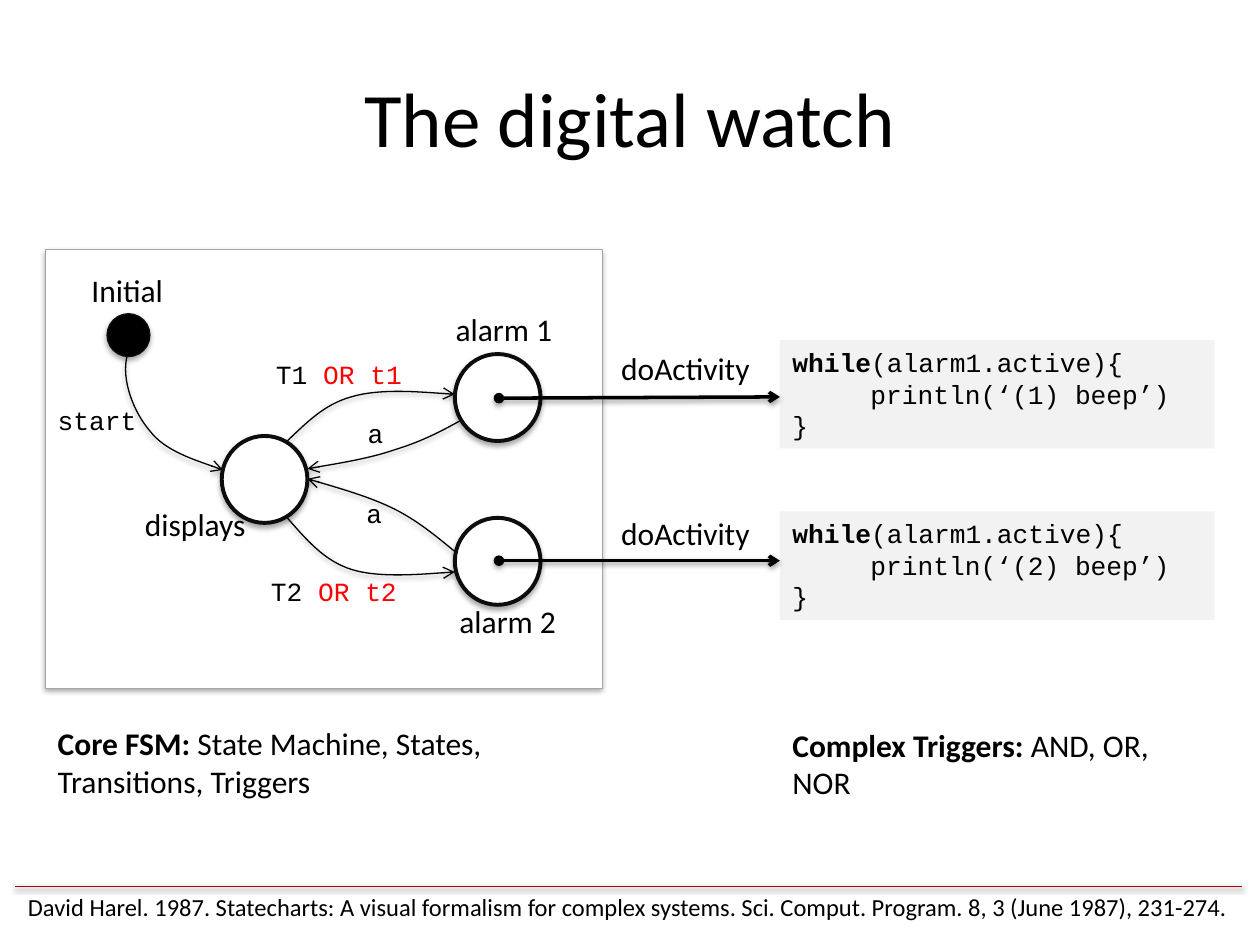
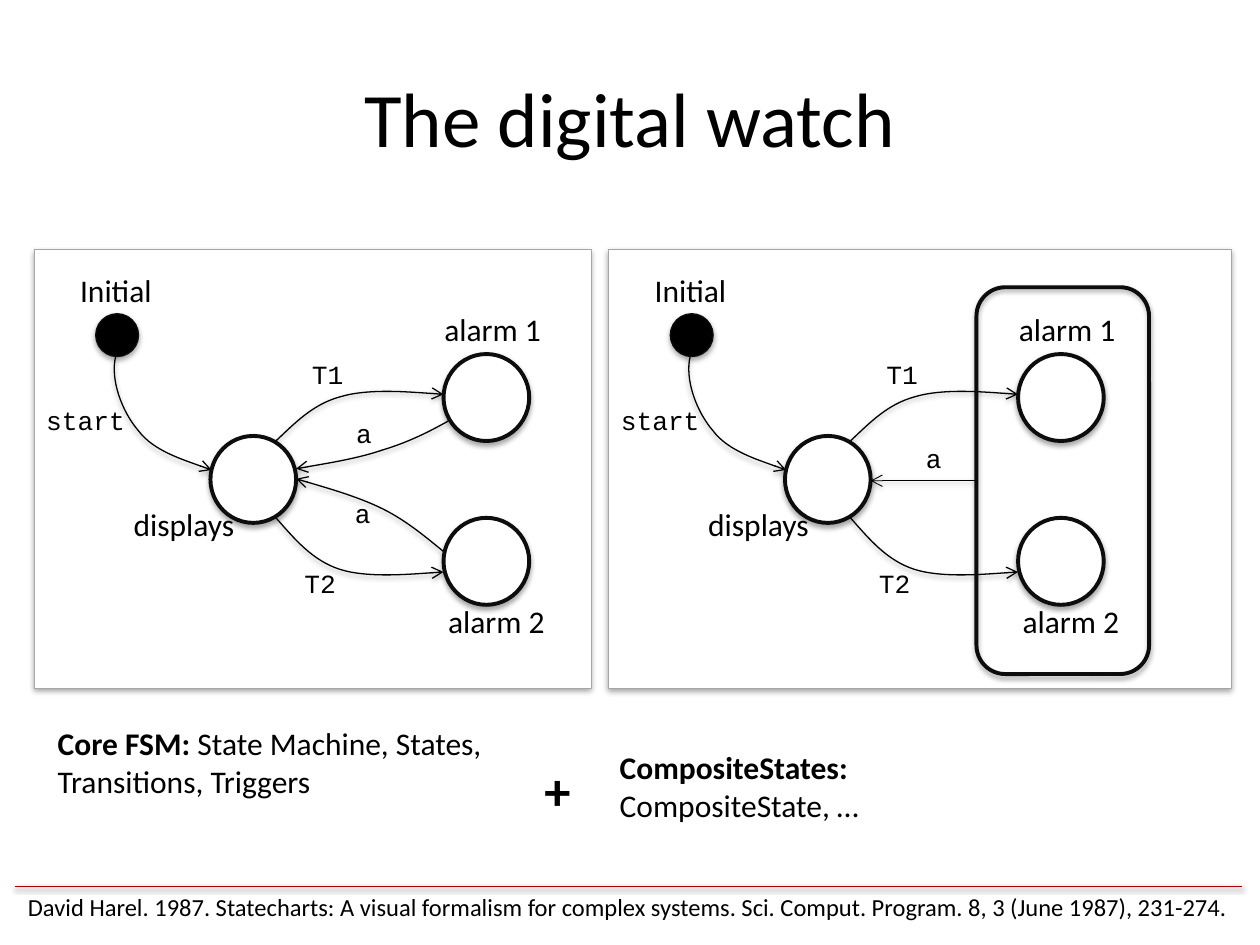
from lxml import etree
from pptx import Presentation
from pptx.dml.color import RGBColor
from pptx.enum.shapes import MSO_CONNECTOR, MSO_SHAPE
from pptx.enum.text import MSO_ANCHOR, PP_ALIGN
from pptx.oxml.ns import qn
from pptx.util import Inches, Pt

BLACK = RGBColor(0x00, 0x00, 0x00)
WHITE = RGBColor(0xFF, 0xFF, 0xFF)
INK = RGBColor(0x0D, 0x0D, 0x0D)
PANEL_EDGE = RGBColor(0xA6, 0xA6, 0xA6)
CODE_FILL = RGBColor(0xF2, 0xF2, 0xF2)
RED = RGBColor(0xFF, 0x00, 0x00)
FOOTER_RED = RGBColor(0xAD, 0x01, 0x01)

RECTANGLE = MSO_SHAPE.RECTANGLE
ROUNDED = MSO_SHAPE.ROUNDED_RECTANGLE
OVAL = MSO_SHAPE.OVAL
STRAIGHT = MSO_CONNECTOR.STRAIGHT
LEFT, CENTER = PP_ALIGN.LEFT, PP_ALIGN.CENTER
TOP, MIDDLE = MSO_ANCHOR.TOP, MSO_ANCHOR.MIDDLE

BODY_FONT = "Calibri"
CODE_FONT = "Courier New"
TITLE = "The digital watch"
CITATION = (
    "David Harel. 1987. Statecharts: A visual formalism for complex systems. "
    "Sci. Comput. Program. 8, 3 (June 1987), 231-274."
)
PANEL_TOP = 1.98
PANEL_HEIGHT = 3.48
STATE_WIDTH, STATE_HEIGHT = 0.68, 0.69

START_CURVE = [(0.65, 0.84), (0.60, 1.03), (0.70, 1.29), (0.83, 1.44),
               (0.95, 1.60), (1.41, 1.75), (1.41, 1.75)]
TO_ALARM_1 = [(1.92, 1.52), (2.07, 1.38), (2.21, 1.23), (2.43, 1.17),
              (2.66, 1.10), (3.25, 1.15), (3.25, 1.15)]
TO_ALARM_2 = [(1.92, 2.13), (2.07, 2.30), (2.21, 2.47), (2.43, 2.54),
              (2.65, 2.61), (3.25, 2.56), (3.25, 2.56)]
FROM_ALARM_1 = [(3.29, 1.36), (3.13, 1.45), (2.97, 1.53), (2.77, 1.59),
                (2.57, 1.66), (2.08, 1.74), (2.08, 1.74)]
FROM_ALARM_2 = [(3.29, 2.43), (3.13, 2.30), (2.97, 2.16), (2.77, 2.06),
                (2.57, 1.96), (2.08, 1.82), (2.08, 1.82)]


def add_shadow(shape, alpha, distance):
    properties = shape._element.spPr
    effects = properties.find(qn("a:effectLst"))
    if effects is None:
        effects = etree.SubElement(properties, qn("a:effectLst"))
    shadow = etree.SubElement(effects, qn("a:outerShdw"), blurRad=str(Pt(3.1)),
                              dist=str(Pt(distance)), dir="5400000", rotWithShape="0")
    color = etree.SubElement(shadow, qn("a:srgbClr"), val=str(BLACK))
    etree.SubElement(color, qn("a:alpha"), val=str(alpha * 1000))


def style_line(shape, color, width, head=None, tail=None):
    shape.line.color.rgb = color
    shape.line.width = Pt(width)
    outline = shape._element.spPr.find(qn("a:ln"))
    for tag, kind in (("a:headEnd", head), ("a:tailEnd", tail)):
        if kind:
            etree.SubElement(outline, qn(tag), type=kind)


def write_text(box, *paragraphs, size=18, font=BODY_FONT, align=LEFT, anchor=TOP):
    frame = box.text_frame
    frame.word_wrap = True
    frame.vertical_anchor = anchor
    for index, spans in enumerate(paragraphs):
        para = frame.paragraphs[0] if index == 0 else frame.add_paragraph()
        para.alignment = align
        for text, bold, color in spans:
            span = para.add_run()
            span.text = text
            span.font.size = Pt(size)
            span.font.name = font
            span.font.bold = bold
            span.font.color.rgb = color


def add_text(shapes, area, text, bold=False, rest="", rest_color=BLACK, **text_format):
    box = shapes.add_textbox(*map(Inches, area))
    spans = [(text, bold, BLACK)]
    if rest:
        spans.append((rest, False, rest_color))
    write_text(box, spans, **text_format)


def add_box(shapes, kind, area, fill=None, edge=None, width=0.75):
    box = shapes.add_shape(kind, *map(Inches, area))
    box.shadow.inherit = False
    if fill is None:
        box.fill.background()
    else:
        box.fill.solid()
        box.fill.fore_color.rgb = fill
    if edge is None:
        box.line.fill.background()
    else:
        style_line(box, edge, width)
        add_shadow(box, 35, 1.8)
    return box


def add_line(shapes, begin, end, color, width, head=None, tail=None):
    line = shapes.add_connector(STRAIGHT, *map(Inches, (*begin, *end)))
    style_line(line, color, width, head, tail)
    add_shadow(line, 38, 1.6)
    return line


def bend_segments(curve, points):
    segments = curve._element.spPr.findall(".//" + qn("a:lnTo"))
    for index, segment in enumerate(segments):
        bend = etree.Element(qn("a:cubicBezTo"))
        for x, y in points[3 * index + 1:3 * index + 4]:
            etree.SubElement(bend, qn("a:pt"), x=str(x - curve.left), y=str(y - curve.top))
        segment.getparent().replace(segment, bend)


def add_transition(shapes, left, top, controls):
    points = [(Inches(left + x), Inches(top + y)) for x, y in controls]
    builder = shapes.build_freeform(*points[0])
    builder.add_line_segments(points[3::3], close=False)
    curve = builder.convert_to_shape()
    bend_segments(curve, points)
    curve.shadow.inherit = False
    curve.fill.background()
    style_line(curve, BLACK, 0.75, tail="arrow")
    add_shadow(curve, 38, 1.6)


def add_state_machine(page, left, width, returns, return_labels,
                      second_label=(1.65, 2.47), extras=("", "")):
    top = PANEL_TOP
    shapes = page.shapes.add_group_shape().shapes
    add_box(shapes, RECTANGLE, (left, top, width, PANEL_HEIGHT), WHITE, PANEL_EDGE, 0.25)
    for controls in (START_CURVE, TO_ALARM_1, TO_ALARM_2, *returns):
        add_transition(shapes, left, top, controls)
    add_box(shapes, OVAL, (left + 0.49, top + 0.51, 0.34, 0.34), BLACK, INK)
    for x, y in ((1.40, 1.48), (3.25, 0.83), (3.25, 2.13)):
        add_box(shapes, OVAL, (left + x, top + y, STATE_WIDTH, STATE_HEIGHT),
                WHITE, INK, 2.25)
    for text, x, y, label_width in (("Initial", 0.19, 0.12, 0.92),
                                    ("displays", 0.57, 1.98, 1.24),
                                    ("alarm 1", 3.02, 0.43, 1.24),
                                    ("alarm 2", 3.05, 2.75, 1.24)):
        add_text(shapes, (left + x, top + y, label_width, 0.40), text, align=CENTER)
    triggers = [("start", "", (-0.21, 1.18)), ("T1", extras[0], (1.71, 0.81))]
    triggers += [("a", "", place) for place in return_labels]
    triggers.append(("T2", extras[1], second_label))
    for text, extra, (x, y) in triggers:
        add_text(shapes, (left + x, top + y, 1.24, 0.35), text, rest=extra,
                 rest_color=RED, size=15, font=CODE_FONT, align=CENTER)


def add_core_machine(page, left, **options):
    add_state_machine(page, left, 4.42, (FROM_ALARM_1, FROM_ALARM_2),
                      ((2.00, 1.28), (1.99, 1.92)), **options)


def add_activity(page, top, begin_y, end_y, label_top, number):
    code = add_box(page.shapes, RECTANGLE, (6.19, top, 3.45, 0.86), CODE_FILL)
    write_text(code,
               [("while", True, BLACK), ("(alarm1.active){", False, BLACK)],
               [(f"println(‘({number}) beep’)", False, BLACK)],
               [("}", False, BLACK)],
               size=15, font=CODE_FONT)
    body = code.text_frame.paragraphs[1]._p.get_or_add_pPr()
    body.set("marL", str(Inches(0.62)))
    add_line(page.shapes, (3.96, begin_y), (6.19, end_y), BLACK, 2, "oval", "arrow")
    add_text(page.shapes, (4.82, label_top, 1.24, 0.40), "doActivity", align=CENTER)


def add_composite_state(page, left, top):
    frame = add_box(page.shapes, ROUNDED, (left, top, 1.37, 3.07), None, INK, 2.25)
    middle = top + 3.07 / 2
    arrow = add_line(page.shapes, (left, middle), (left - 0.84, middle),
                     BLACK, 0.5, tail="arrow")
    arrow.begin_connect(frame, 1)


def add_title(page):
    add_text(page.shapes, (0.5, 0.3, 9, 1.25), TITLE, size=44, align=CENTER, anchor=MIDDLE)


def add_footer(page):
    add_text(page.shapes, (0.12, 7.03, 9.73, 0.34), CITATION, size=14, align=CENTER)
    add_line(page.shapes, (0.12, 7.03), (9.86, 7.03), FOOTER_RED, 0.25)


def add_core_caption(page):
    add_text(page.shapes, (0.36, 5.7, 4.45, 0.71), "Core FSM: ", bold=True,
             rest="State Machine, States, Transitions, Triggers")


def build_triggers_page(deck):
    page = deck.slides.add_slide(deck.slide_layouts[6])
    add_title(page)
    add_core_machine(page, 0.36, second_label=(1.67, 2.54), extras=(" OR t1", " OR t2"))
    add_footer(page)
    add_activity(page, 2.70, 3.16, 3.15, 2.72, 1)
    add_activity(page, 4.06, 4.45, 4.45, 4.03, 2)
    add_core_caption(page)
    add_text(page.shapes, (6.19, 5.71, 3.45, 0.71), "Complex Triggers: ", bold=True,
             rest="AND, OR, NOR")


def build_composite_page(deck):
    page = deck.slides.add_slide(deck.slide_layouts[6])
    add_title(page)
    add_state_machine(page, 4.83, 4.94, (), ((1.96, 1.48),))
    add_footer(page)
    add_composite_state(page, 7.75, 2.28)
    add_core_caption(page)
    add_text(page.shapes, (4.82, 5.89, 3.45, 0.71), "CompositeStates: ", bold=True,
             rest="CompositeState, …")
    add_text(page.shapes, (4.06, 5.97, 0.73, 0.61), "+", bold=True, size=30, align=CENTER)
    add_core_machine(page, 0.27)


def main():
    deck = Presentation()
    deck.slide_width = Inches(10)
    deck.slide_height = Inches(7.5)
    build_triggers_page(deck)
    build_composite_page(deck)
    deck.save("out.pptx")


if __name__ == "__main__":
    main()
